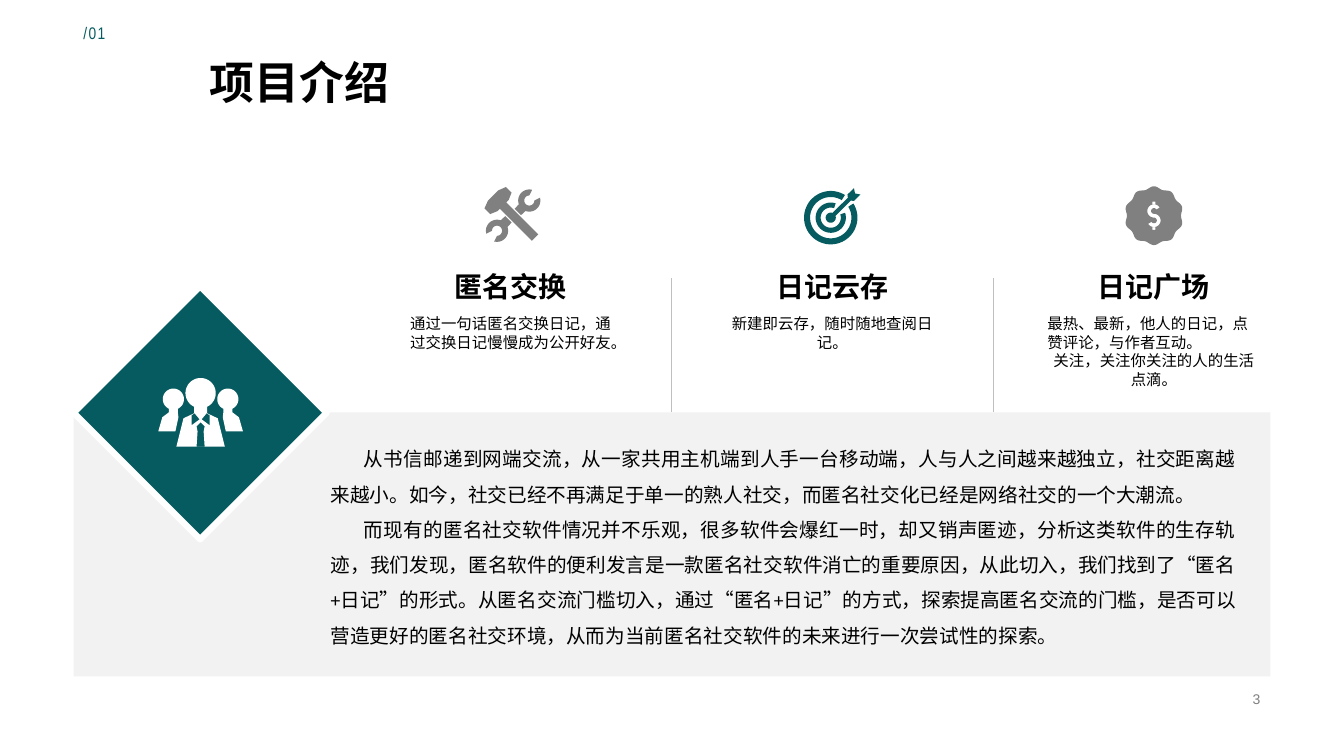
from dataclasses import dataclass
from math import cos, radians, sin
from lxml import etree
from pptx import Presentation
from pptx.dml.color import RGBColor
from pptx.enum.shapes import MSO_CONNECTOR, MSO_SHAPE
from pptx.enum.text import MSO_ANCHOR, MSO_AUTO_SIZE, PP_ALIGN
from pptx.oxml.ns import qn
from pptx.util import Emu, Pt

LEFT, MID, RIGHT, JUST = PP_ALIGN.LEFT, PP_ALIGN.CENTER, PP_ALIGN.RIGHT, PP_ALIGN.JUSTIFY
TOP, CENTER, BASE = MSO_ANCHOR.TOP, MSO_ANCHOR.MIDDLE, MSO_ANCHOR.BOTTOM
FIXED, GROW = MSO_AUTO_SIZE.NONE, MSO_AUTO_SIZE.SHAPE_TO_FIT_TEXT
RECT, DIAMOND = MSO_SHAPE.RECTANGLE, MSO_SHAPE.DIAMOND
STRAIGHT = MSO_CONNECTOR.STRAIGHT
COLS, ROWS, CELL = 1333, 750, 9144
FINE = 100

Point = tuple[float, float]
Path = list[Point]
Box = tuple[float, float, float, float]


@dataclass(frozen=True)
class Theme:
    teal: str = "055B5F"
    gray: str = "808080"
    pale: str = "F2F2F2"
    rule: str = "BFBFBF"
    white: str = "FFFFFF"
    black: str = "000000"
    sans: str = "Arial"
    slim: str = "Arial Narrow"
    prose: str = "Calibri"
    title: int = 32
    head: int = 20
    body: int = 14
    tag: int = 12
    note: int = 11
    page: int = 10


@dataclass(frozen=True)
class Style:
    size: int
    font: str
    color: str
    bold: bool = False
    align: PP_ALIGN = LEFT
    anchor: MSO_ANCHOR = TOP
    space: float = 1.0


@dataclass(frozen=True)
class Topic:
    head: str
    notes: list[str]
    aligns: list[PP_ALIGN]
    icon: list[Path]
    color: str


LOOK = Theme()
deck = Presentation()
deck.slide_width, deck.slide_height = Emu(COLS * CELL), Emu(ROWS * CELL)
slide = deck.slides.add_slide(deck.slide_layouts[1])
shapes = slide.shapes


def place(box: Box) -> list[Emu]:
    return [Emu(round(n * CELL)) for n in box]


def rgb(color: str) -> RGBColor:
    return RGBColor.from_string(color)


def write(shape, lines: list[str], style: Style) -> None:
    frame = shape.text_frame
    frame.text = "\n".join(lines)
    frame.word_wrap, frame.auto_size = True, FIXED
    frame.vertical_anchor = style.anchor
    for para in frame.paragraphs:
        para.alignment, para.line_spacing = style.align, style.space
        para.space_before = Pt(0)
        for run in para.runs:
            font = run.font
            font.size, font.name, font.bold = Pt(style.size), style.font, style.bold
            font.color.rgb = rgb(style.color)


def label(box: Box, lines: list[str], style: Style):
    shape = shapes.add_textbox(*place(box))
    write(shape, lines, style)
    return shape


def settle(shape, box: Box) -> None:
    shape.left, shape.top, shape.width, shape.height = place(box)


def paint(shape, color: str) -> None:
    shape.shadow.inherit = False
    shape.fill.solid()
    shape.fill.fore_color.rgb = rgb(color)
    shape.line.fill.background()


def block(kind: MSO_SHAPE, box: Box, color: str):
    shape = shapes.add_shape(kind, *place(box))
    paint(shape, color)
    return shape


def draw(paths: list[Path], color: str) -> None:
    fine = [[(x * FINE, y * FINE) for x, y in path] for path in paths]
    pen = shapes.build_freeform(*fine[0][0], scale=CELL / FINE)
    for path in fine:
        pen.move_to(*path[0])
        pen.add_line_segments(path[1:], close=True)
    paint(pen.convert_to_shape(), color)


def arc(x: float, y: float, r: float, start: int, stop: int) -> Path:
    turns = [*range(start, stop, 6 if stop > start else -6), stop]
    return [(x + r * cos(radians(a)), y + r * sin(radians(a))) for a in turns]


def flip(path: Path, axis: float = 0) -> Path:
    return [(2 * axis - x, y) for x, y in reversed(path)]


def whole(half: Path) -> Path:
    return half + flip(half)


def put(path: Path, x: float, y: float, turn: int = 0) -> Path:
    c, s = cos(radians(turn)), sin(radians(turn))
    return [(x + a * c - b * s, y + a * s + b * c) for a, b in path]


def ring(r: float, core: float, start: int, stop: int) -> Path:
    return arc(0, 0, r, start, stop) + arc(0, 0, core, stop, start)


def make_tools(x: float, y: float) -> list[Path]:
    jaw = arc(0, 0, 5, 90, -45) + arc(0, 0, 11, -60, 65)
    wrench = whole(jaw + [(4.5, 16)])
    hammer = whole([(7, -7), (15, -4), (15, 4), (8, 7), (4.5, 7), (4.5, 52)])
    return [put(hammer, x - 12, y - 15, -45),
            put(wrench, x + 19, y - 15, 45), put(wrench, x - 13, y + 15, 225)]


def make_target(x: float, y: float) -> list[Path]:
    flight = [(0, -34), (4.5, -37), (4.5, -28), (2, -26)]
    dart = whole(flight + arc(0, 0, 5, -65, 90))
    rings = [ring(26.5, 20.5, -32, 302), ring(15, 10, -19, 289)]
    return [put(part, x, y) for part in rings] + [put(dart, x, y, 45)]


def make_badge(x: float, y: float) -> list[Path]:
    lobes, r, wave = 10, 28, 1.2
    rim = [put([(0, -r - wave * cos(radians(lobes * a)))], 0, 0, a)[0]
           for a in range(0, 360, 3)]
    bend, thick, reach = 4.7, 1.9, 14
    wide, slim = bend + thick, bend - thick
    curl = (arc(0, -bend, wide, -30, -270) + arc(0, bend, slim, -90, 150)
            + arc(0, bend, wide, 150, -90) + arc(0, -bend, slim, -270, -30))
    stub = whole([(1.5, -reach), (1.5, -bend - wide)])
    return [put(part, x, y) for part in (rim, curl, stub)] + [put(stub, x, y, 180)]


def torso(r: float, neck: float, base: float, arm: float, foot: float) -> Path:
    throat = r * cos(radians(65))
    return arc(0, 0, r, -90, 65) + [(throat, neck), (arm, neck + 5), (foot, base)]


def make_team(x: float, y: float) -> list[Path]:
    lead = whole(torso(15, 20, 53, 17, 24))
    peer = torso(10.5, 13, 32, 5, 2) + flip(torso(10.5, 13, 32, 11, 15))
    tie = whole([(0, 29), (4, 33), (3, 38), (4, 53)])
    collar = [(6, 20), (9, 22), (9, 32), (1, 26)]
    left = put(peer, -27, 6)
    parts = [lead, tie, collar, flip(collar), left, flip(left)]
    return [put(part, x, y) for part in parts]


topics = [
    Topic("匿名交换", ["通过一句话匿名交换日记，通过交换日记慢慢成为公开好友。"],
          [MID], make_tools(506, 214), LOOK.gray),
    Topic("日记云存", ["新建即云存，随时随地查阅日记。"],
          [MID], make_target(824, 216), LOOK.teal),
    Topic("日记广场", ["最热、最新，他人的日记，点赞评论，与作者互动。",
                   "关注，关注你关注的人的生活点滴。"],
          [LEFT, MID], make_badge(1144.5, 214), LOOK.gray),
]
story = [
    "从书信邮递到网端交流，从一家共用主机端到人手一台移动端，人与人之间越来越独立，社交距离越来越小。"
    "如今，社交已经不再满足于单一的熟人社交，而匿名社交化已经是网络社交的一个大潮流。",
    "而现有的匿名社交软件情况并不乐观，很多软件会爆红一时，却又销声匿迹，分析这类软件的生存轨迹，"
    "我们发现，匿名软件的便利发言是一款匿名社交软件消亡的重要原因，从此切入，我们找到了“匿名+日记”的形式。"
    "从匿名交流门槛切入，通过“匿名+日记”的方式，探索提高匿名交流的门槛，是否可以营造更好的匿名社交环境，"
    "从而为当前匿名社交软件的未来进行一次尝试性的探索。",
]

label((942, 682, 318, 23), ["3"], Style(LOOK.page, LOOK.sans, LOOK.gray, align=RIGHT, anchor=CENTER))
block(RECT, (73, 409, 1187, 262), LOOK.pale)
gem = block(DIAMOND, (73, 284, 251, 251), LOOK.teal)
gem.line.color.rgb, gem.line.width = rgb(LOOK.white), Pt(4.5)
draw(make_team(199, 390), LOOK.white)

body = slide.placeholders[1]
settle(body, (318, 427, 918, 85))
write(body, story, Style(LOOK.body, LOOK.prose, LOOK.black, align=JUST, space=1.5))
for para in body.text_frame.paragraphs:
    props = para._p.get_or_add_pPr()
    props.set("marL", "0")
    props.set("indent", str(33 * CELL))
    etree.SubElement(props, qn("a:buNone"))
shapes.element.append(body.element)

HEAD = Style(LOOK.head, LOOK.sans, LOOK.black, True, MID, BASE, 0.9)
NOTE = Style(LOOK.note, LOOK.sans, LOOK.black, align=MID)
START, PITCH, WIDE = 391, 319, 231
for i, topic in enumerate(topics):
    x = START + i * PITCH
    note = label((x, 307, WIDE, 79), topic.notes, NOTE)
    for para, align in zip(note.text_frame.paragraphs, topic.aligns):
        para.alignment = align
    label((x, 264, WIDE, 42), [topic.head], HEAD)
    draw(topic.icon, topic.color)
    if i:
        mark = x - (PITCH - WIDE) / 2
        rule = shapes.add_connector(STRAIGHT, *place((mark, 276, mark, 409)))
        rule.line.color.rgb, rule.line.width = rgb(LOOK.rule), Pt(0.25)
        etree.SubElement(rule.element.spPr, qn("a:effectLst"))

title = shapes.title
settle(title, (198, 15, 593, 98))
write(title, ["项目介绍"], Style(LOOK.title, LOOK.sans, LOOK.black, True, LEFT, BASE, 0.9))
tag = label((73, 18, 106, 92), ["/01"], Style(LOOK.tag, LOOK.slim, LOOK.teal))
tag.text_frame.word_wrap, tag.text_frame.auto_size = False, GROW
tag.text_frame.paragraphs[0].runs[0].font._element.set("spc", "100")

deck.save("out.pptx")
